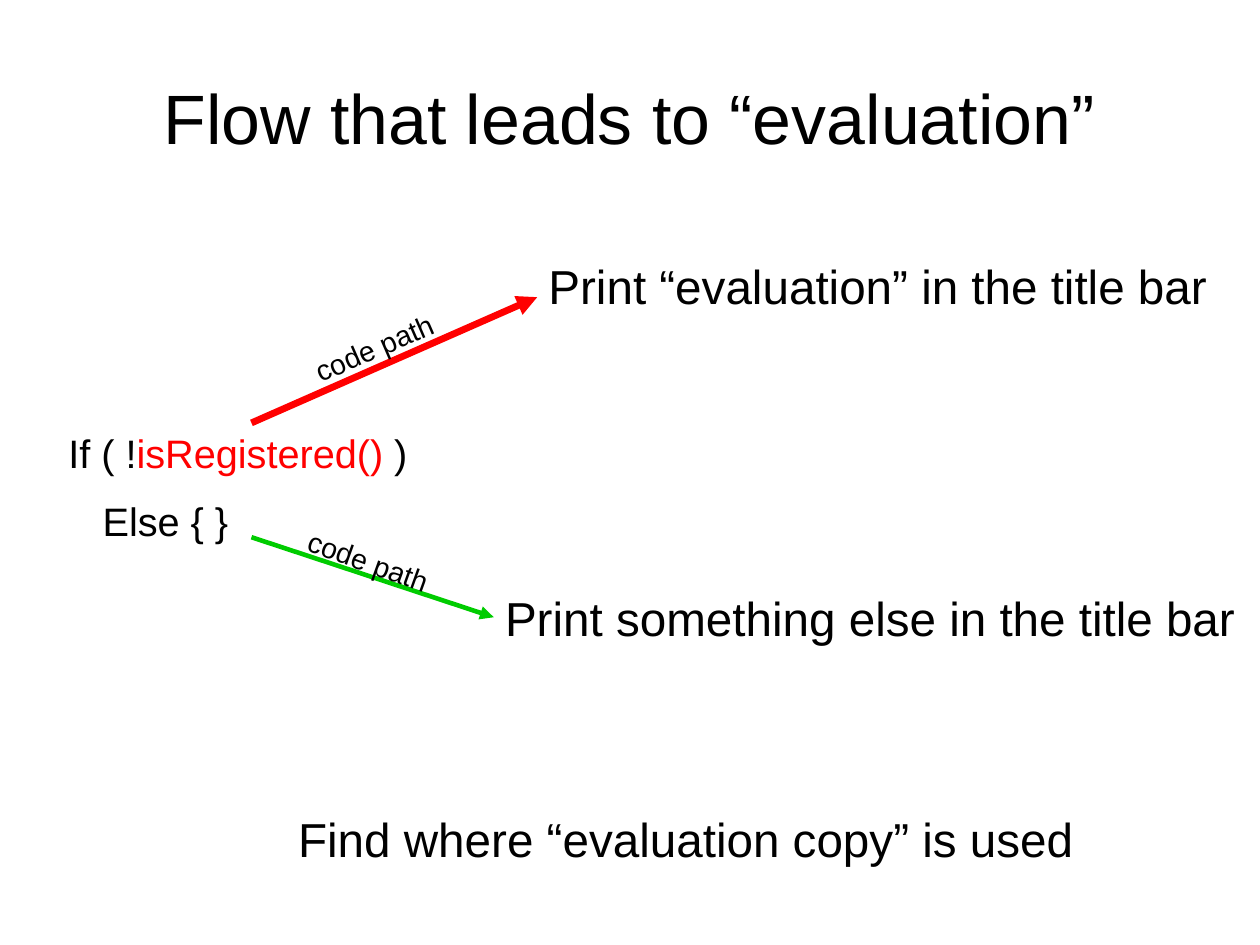
from dataclasses import dataclass

from lxml.etree import SubElement
from pptx import Presentation
from pptx.dml.color import RGBColor
from pptx.enum.shapes import MSO_CONNECTOR as Conn
from pptx.enum.text import MSO_ANCHOR as Anchor, MSO_AUTO_SIZE as AutoSize, PP_ALIGN as Align
from pptx.oxml.ns import qn
from pptx.slide import Slide
from pptx.util import Inches, Pt

COLORS = {"text": "000000", "red": "FF0000", "green": "00CC00"}
FONT = "Arial"
CM_PER_INCH = 2.54


@dataclass(frozen=True)
class Label:
    left: float
    top: float
    width: float
    height: float
    size: float
    runs: tuple[tuple[str, str], ...]
    rotation: float = 0


@dataclass(frozen=True)
class Arrow:
    start: tuple[float, float]
    end: tuple[float, float]
    color: str
    width: float


TITLE = Label(0.55, 0.33, 9.92, 1.38, 44, (("Flow that leads to “evaluation”", "text"),))

LABELS = [
    Label(0.5, 3.7, 3.4, 0.49, 25, (("If ( !", "text"), ("isRegistered()", "red"), (" )", "text"))),
    Label(0.8, 4.3, 1.3, 0.49, 25, (("Else { }", "text"),)),
    Label(4.7, 2.2, 6, 0.56, 30, (("Print “evaluation” in the title bar", "text"),)),
    Label(4.32, 5.1, 6.59, 0.56, 30, (("Print something else in the title bar", "text"),)),
    Label(2.51, 7.04, 7.02, 0.56, 30, (("Find where “evaluation copy” is used", "text"),)),
    Label(2.62, 2.84, 1.3, 0.38, 18, (("code path", "text"),), 336.5),
    Label(2.58, 4.71, 1.3, 0.38, 18, (("code path", "text"),), 19.8),
]

ARROWS = [
    Arrow((2.2, 3.7), (4.7, 2.6), "red", 4.31),
    Arrow((2.2, 4.7), (4.32, 5.4), "green", 2.89),
]


def rgb(name: str) -> RGBColor:
    return RGBColor.from_string(COLORS[name])


def add_label(slide: Slide, label: Label, is_title: bool = False) -> None:
    sp = slide.shapes.add_textbox(
        Inches(label.left), Inches(label.top), Inches(label.width), Inches(label.height)
    )
    sp.rotation = label.rotation
    tf = sp.text_frame
    tf.word_wrap = is_title
    tf.auto_size = AutoSize.NONE if is_title else AutoSize.SHAPE_TO_FIT_TEXT
    tf.vertical_anchor = Anchor.MIDDLE if is_title else Anchor.TOP
    tf.margin_left = tf.margin_right = Inches(0 if is_title else 0.1)
    tf.margin_top = tf.margin_bottom = Inches(0 if is_title else 0.05)
    p = tf.paragraphs[0]
    p.alignment = Align.CENTER if is_title else Align.LEFT
    for text, color in label.runs:
        r = p.add_run()
        r.text = text
        r.font.name = FONT
        r.font.size = Pt(label.size)
        r.font.color.rgb = rgb(color)


def add_arrow(slide: Slide, arrow: Arrow) -> None:
    cx = slide.shapes.add_connector(
        Conn.STRAIGHT, *(Inches(v) for v in (*arrow.start, *arrow.end))
    )
    cx.line.color.rgb = rgb(arrow.color)
    cx.line.width = Pt(arrow.width)
    SubElement(cx.get_or_add_ln(), qn("a:tailEnd"), type="triangle")
    SubElement(cx.element.spPr, qn("a:effectLst"))


def main() -> None:
    prs = Presentation()
    prs.slide_width = Inches(28 / CM_PER_INCH)
    prs.slide_height = Inches(21 / CM_PER_INCH)
    slide = prs.slides.add_slide(prs.slide_layouts[6])
    add_label(slide, TITLE, is_title=True)
    for arrow in ARROWS:
        add_arrow(slide, arrow)
    for label in LABELS:
        add_label(slide, label)
    prs.save("out.pptx")


if __name__ == "__main__":
    main()
